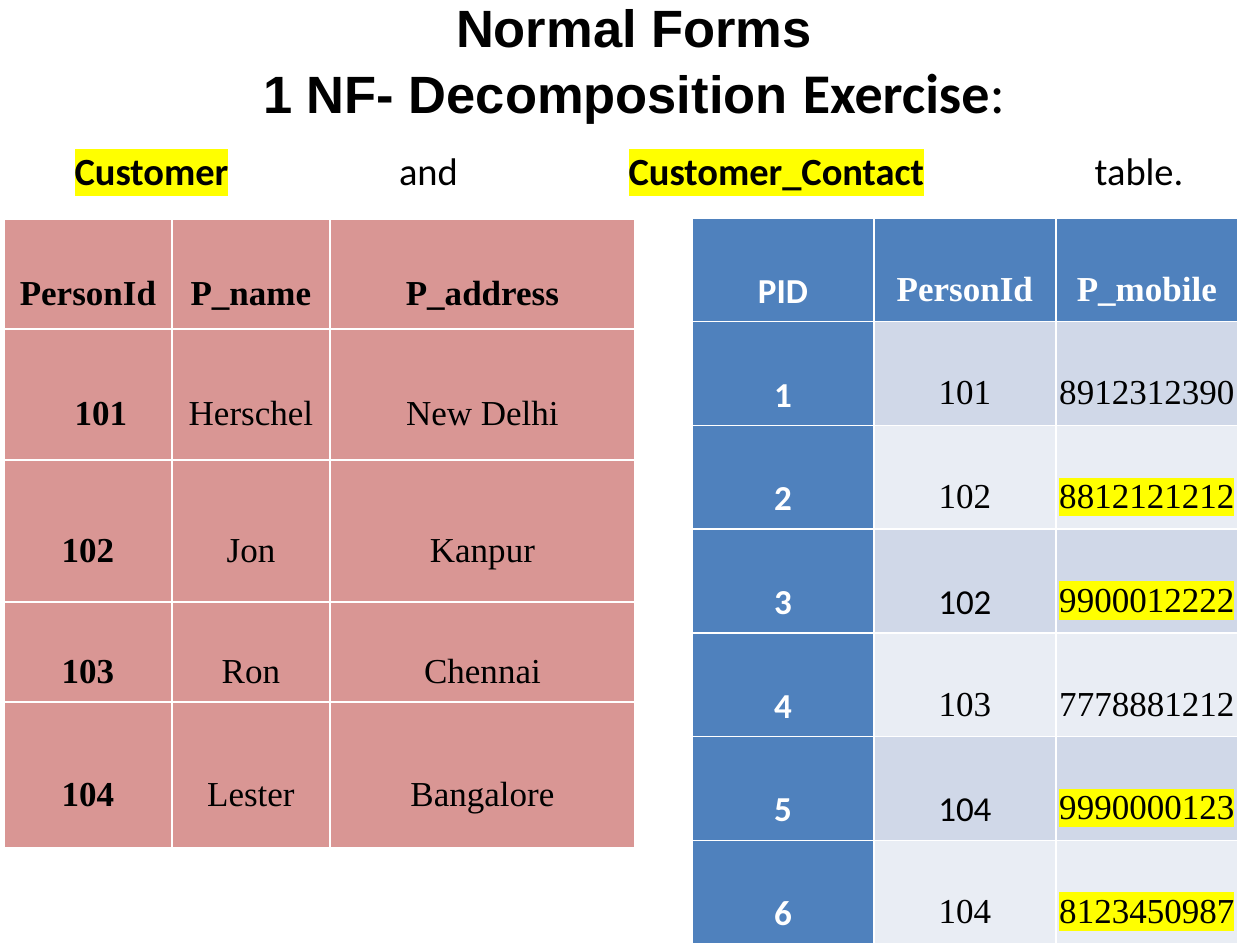
"""Build the first normal form decomposition exercise slide."""
from dataclasses import dataclass
from typing import Optional

import lxml.etree
import pptx
import pptx.dml.color
import pptx.enum.text
import pptx.oxml.ns
import pptx.util

EMU_PER_PX = 914400 / 126
BLACK = pptx.dml.color.RGBColor(0x00, 0x00, 0x00)
WHITE = pptx.dml.color.RGBColor(0xFF, 0xFF, 0xFF)
YELLOW = pptx.dml.color.RGBColor(0xFF, 0xFF, 0x00)
ROSE = pptx.dml.color.RGBColor(0xD9, 0x96, 0x94)
BLUE = pptx.dml.color.RGBColor(0x4F, 0x81, 0xBD)
BLUE_BAND = pptx.dml.color.RGBColor(0xD0, 0xD8, 0xE8)
PALE_BAND = pptx.dml.color.RGBColor(0xE9, 0xED, 0xF4)
ALIGN = pptx.enum.text.PP_ALIGN
ANCHOR = pptx.enum.text.MSO_ANCHOR
SERIF = "Times New Roman"


@dataclass(frozen=True)
class Style:
    font: str = SERIF
    size: int = 20
    bold: bool = False
    color: pptx.dml.color.RGBColor = BLACK
    highlight: Optional[pptx.dml.color.RGBColor] = None


@dataclass(frozen=True)
class TextPart:
    text: str
    style: Style


@dataclass(frozen=True)
class TableCell:
    text: str
    style: Style
    fill: pptx.dml.color.RGBColor
    indent: int = 0


@dataclass(frozen=True)
class TableLayout:
    left: int
    top: int
    columns: list[int]
    rows: list[int]
    padding: int
    spaced_rows: int


CUSTOMERS = [
    ("PersonId", "P_name", "P_address"),
    ("101", "Herschel", "New Delhi"),
    ("102", "Jon", "Kanpur"),
    ("103", "Ron", "Chennai"),
    ("104", "Lester", "Bangalore"),
]
CONTACTS = [
    ("PID", "PersonId", "P_mobile"),
    ("1", "101", "8912312390"),
    ("2", "102", "8812121212"),
    ("3", "102", "9900012222"),
    ("4", "103", "7778881212"),
    ("5", "104", "9990000123"),
    ("6", "104", "8123450987"),
]
REPEATED_MOBILES = {"8812121212", "9900012222", "9990000123", "8123450987"}
CALIBRI_PERSON_ROWS = {3, 5}
CUSTOMER_LAYOUT = TableLayout(4, 219, [168, 158, 305], [110, 131, 142, 100, 146], 8, 3)
CONTACT_LAYOUT = TableLayout(692, 218, [182] * 3, [100] * 7, 9, 4)

HEADING = Style("Arial", 30, True)
CAPTION = Style("Calibri", 22)
CAPTION_MARK = Style("Calibri", 22, True, highlight=YELLOW)
HEADING_LINES = [
    [TextPart("Normal Forms", HEADING)],
    [
        TextPart("1 NF- Decomposition ", HEADING),
        TextPart("Exercise", Style("Calibri", 32, True)),
        TextPart(":", Style("Calibri", 32)),
    ],
]
CAPTION_LINE = [
    TextPart("Customer", CAPTION_MARK),
    TextPart(" and ", CAPTION),
    TextPart("Customer_Contact", CAPTION_MARK),
    TextPart(" table.", CAPTION),
]


def px(length: int) -> pptx.util.Emu:
    return pptx.util.Emu(round(length * EMU_PER_PX))


def format_run(run, style: Style) -> None:
    run.font.name = style.font
    run.font.size = pptx.util.Pt(style.size)
    run.font.bold = style.bold
    run.font.color.rgb = style.color
    if style.highlight is not None:
        highlight = lxml.etree.Element(pptx.oxml.ns.qn("a:highlight"))
        lxml.etree.SubElement(
            highlight, pptx.oxml.ns.qn("a:srgbClr"), val=str(style.highlight)
        )
        properties = run.font._element
        properties.find(pptx.oxml.ns.qn("a:solidFill")).addnext(highlight)


def add_parts(paragraph, parts: list[TextPart], alignment) -> None:
    paragraph.alignment = alignment
    for part in parts:
        run = paragraph.add_run()
        run.text = part.text
        format_run(run, part.style)


def draw_heading(slide) -> None:
    shape = slide.shapes.add_textbox(px(67), px(10), px(1134), px(158))
    text_frame = shape.text_frame
    text_frame.word_wrap = True
    text_frame.vertical_anchor = ANCHOR.MIDDLE
    text_frame.margin_top, text_frame.margin_bottom = 0, px(58)
    for index, line in enumerate(HEADING_LINES):
        paragraph = text_frame.add_paragraph() if index else text_frame.paragraphs[0]
        add_parts(paragraph, line, ALIGN.CENTER)


def draw_caption(slide) -> None:
    title = slide.shapes.title
    title.left, title.top, title.width, title.height = px(62), px(116), px(1134), px(158)
    text_frame = title.text_frame
    text_frame.word_wrap = True
    text_frame.auto_size = pptx.enum.text.MSO_AUTO_SIZE.NONE
    text_frame.vertical_anchor = ANCHOR.TOP
    text_frame.margin_top = px(31)
    paragraph = text_frame.paragraphs[0]
    add_parts(paragraph, CAPTION_LINE, ALIGN.JUSTIFY)
    paragraph.add_line_break()
    line_break = paragraph._p.find(pptx.oxml.ns.qn("a:br"))
    lxml.etree.SubElement(
        line_break, pptx.oxml.ns.qn("a:rPr"), sz=str(CAPTION.size * 100)
    )


def customer_cell(row: int, column: int, text: str) -> TableCell:
    style = Style(bold=row == 0 or column == 0)
    return TableCell(text, style, ROSE, indent=26 if text == "101" else 0)


def contact_cell(row: int, column: int, text: str) -> TableCell:
    is_header = row == 0 or column == 0
    is_calibri = column == 0 or (column == 1 and row in CALIBRI_PERSON_ROWS)
    style = Style(
        font="Calibri" if is_calibri else SERIF,
        bold=is_header,
        color=WHITE if is_header else BLACK,
        highlight=YELLOW if text in REPEATED_MOBILES else None,
    )
    band = BLUE_BAND if row % 2 else PALE_BAND
    return TableCell(text, style, BLUE if is_header else band)


def draw_table(slide, layout: TableLayout, cells: list[list[TableCell]]) -> None:
    table = slide.shapes.add_table(
        len(layout.rows), len(layout.columns), px(layout.left), px(layout.top),
        px(sum(layout.columns)), px(sum(layout.rows)),
    ).table
    for column, width in zip(table.columns, layout.columns):
        column.width = px(width)
    for row_index, height in enumerate(layout.rows):
        table.rows[row_index].height = px(height)
        for column_index, content in enumerate(cells[row_index]):
            cell = table.cell(row_index, column_index)
            cell.fill.solid()
            cell.fill.fore_color.rgb = content.fill
            cell.vertical_anchor = ANCHOR.MIDDLE
            cell.margin_left, cell.margin_right = px(content.indent), 0
            cell.margin_top = cell.margin_bottom = px(layout.padding)
            paragraph = cell.text_frame.paragraphs[0]
            paragraph.text = content.text
            paragraph.alignment = ALIGN.CENTER
            paragraph.line_spacing = 2.0
            if row_index < layout.spaced_rows:
                paragraph.space_after = pptx.util.Pt(30)
            format_run(paragraph.runs[0], content.style)


def build_cells(records: list[tuple], make_cell) -> list[list[TableCell]]:
    return [
        [make_cell(row, column, text) for column, text in enumerate(record)]
        for row, record in enumerate(records)
    ]


def main() -> None:
    presentation = pptx.Presentation()
    presentation.slide_width, presentation.slide_height = px(1260), px(945)
    slide = presentation.slides.add_slide(presentation.slide_layouts[5])
    draw_caption(slide)
    draw_table(slide, CUSTOMER_LAYOUT, build_cells(CUSTOMERS, customer_cell))
    draw_table(slide, CONTACT_LAYOUT, build_cells(CONTACTS, contact_cell))
    draw_heading(slide)
    presentation.save("out.pptx")


if __name__ == "__main__":
    main()
